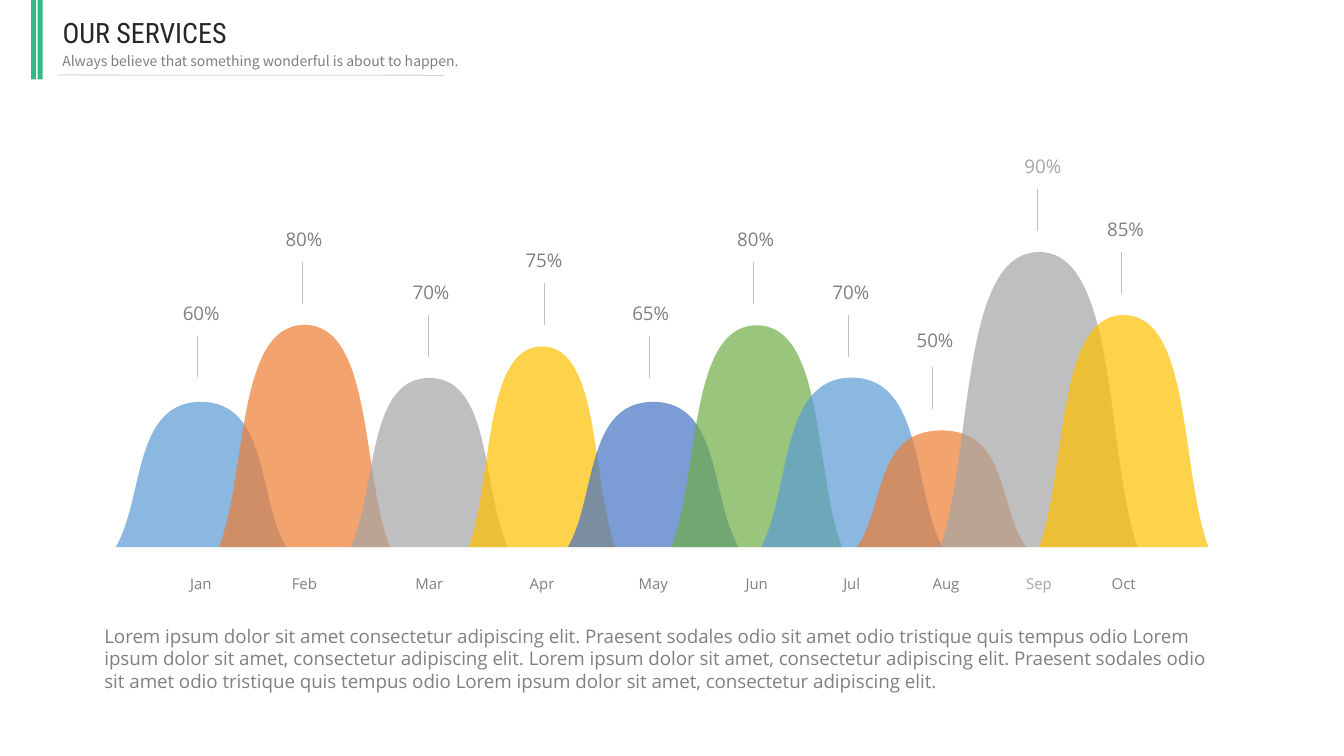
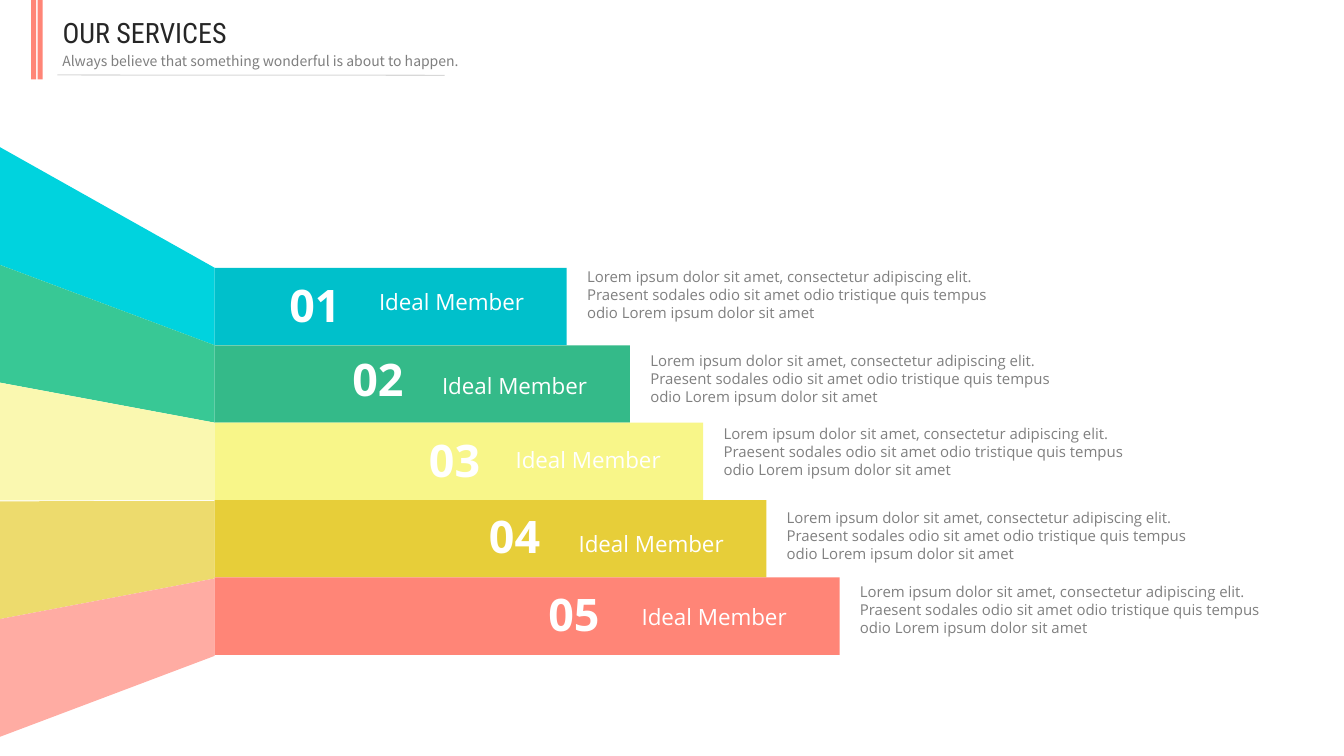
from dataclasses import dataclass

from lxml import etree
from pptx import Presentation
from pptx.dml.color import RGBColor
from pptx.enum.shapes import MSO_CONNECTOR, MSO_SHAPE
from pptx.enum.text import MSO_ANCHOR, MSO_AUTO_SIZE, PP_ALIGN
from pptx.oxml.ns import qn
from pptx.util import Emu, Pt

LEFT, CENTER = PP_ALIGN.LEFT, PP_ALIGN.CENTER
TOP = MSO_ANCHOR.TOP
FIT_SHAPE = MSO_AUTO_SIZE.SHAPE_TO_FIT_TEXT
RECTANGLE = MSO_SHAPE.RECTANGLE
STRAIGHT = MSO_CONNECTOR.STRAIGHT
TITLE_ONLY = 5

# Grid: square cells, ten to the inch
CELL = 91440
COLUMNS, ROWS = 133.33, 75

# Shared look
BODY_FONT, TITLE_FONT, TAGLINE_FONT = "Open Sans", "Roboto Condensed", "Noto Sans CJK SC"
GREEN, CORAL = "34BA89", "FF8577"
GRAY, PALE_GRAY, WHITE = "808080", "A6A6A6", "FFFFFF"
SMALL, MEDIUM = 10.67, 13.33
TITLE = "OUR SERVICES"
TAGLINE = "Always believe that something wonderful is about to happen."

# Hill chart
BASELINE = 54.28
MONTH_TOP = 56.3
LABEL_WIDTH = 10.1
LABEL_INSETS = (1.3, 0.7)
STEM_LENGTH = 4.15
HILL_OPACITY = 70
# Start, control, control, peak, control, control, end in shares of width and height
HILL_CURVE = [(0, 0), (1 / 6, 1 / 3), (0.1, 1), (0.5, 1), (0.9, 1), (5 / 6, 1 / 3), (1, 0)]
SUMMARY = (
    "Lorem ipsum dolor sit amet consectetur adipiscing elit. Praesent sodales odio sit "
    "amet odio tristique quis tempus odio Lorem ipsum dolor sit amet, consectetur "
    "adipiscing elit. Lorem ipsum dolor sit amet, consectetur adipiscing elit. Praesent "
    "sodales odio sit amet odio tristique quis tempus odio Lorem ipsum dolor sit amet, "
    "consectetur adipiscing elit."
)

# Fan of bars
BAR_LEFT, BAR_TOP, BAR_HEIGHT = 21.3, 26.57, 7.68
FAN_TOP, FAN_HEIGHT = 14.6, 11.68
SEAM, SEAM_ROW = 0.1, 3
MEMBER = "Ideal Member"
DETAIL = (
    "Lorem ipsum dolor sit amet, consectetur adipiscing elit. Praesent sodales odio sit "
    "amet odio tristique quis tempus odio Lorem ipsum dolor sit amet"
)


@dataclass
class TextStyle:
    size: float
    color: str = GRAY
    font: str = BODY_FONT
    bold: bool = False
    align: PP_ALIGN = LEFT
    insets: tuple[float, float] = (1, 0.5)


@dataclass
class Hill:
    month: str
    value: str
    color: str
    left: float
    width: float
    peak: float
    value_center: float
    stem: float
    stem_top: float
    text_color: str = GRAY
    month_shift: float = 0
    value_rise: float = 4.1


@dataclass
class Bar:
    number: str
    color: str
    fan_color: str
    width: float
    number_left: float
    number_top: float
    name_left: float
    detail_top: float


HILLS = [
    Hill("Jan", "60%", "5B9BD5", 11.48, 16.9, 39.87, 19.95, 19.6, 33.3),
    Hill("Feb", "80%", "ED7D31", 21.73, 16.95, 32.23, 30.15, 30, 26),
    Hill("Mar", "70%", "A5A5A5", 34.8, 15.6, 37.5, 42.75, 42.5, 31.23),
    Hill("Apr", "75%", "FFC000", 46.5, 14.55, 34.37, 53.95, 53.97, 28.1),
    Hill("May", "65%", "4472C4", 56.33, 16.95, 39.87, 64.55, 64.4, 33.35),
    Hill("Jun", "80%", "70AD47", 66.6, 16.95, 32.27, 74.95, 74.77, 26),
    Hill("Jul", "70%", "5B9BD5", 75.5, 18, 37.47, 84.4, 84.2, 31.23),
    Hill("Aug", "50%", "ED7D31", 85, 16.8, 42.7, 92.75, 92.5, 36.45,
         month_shift=0.45, value_rise=4.55),
    Hill("Sep", "90%", "A5A5A5", 93.3, 19.55, 25, 103.45, 102.9, 18.73, PALE_GRAY),
    Hill("Oct", "85%", "FFC000", 103.08, 16.8, 31.25, 111.65, 111.27, 25),
]

BARS = [
    Bar("01", "00C0CB", "00D3DE", 34.93, 27.1, 27.1, 35.4, 26.05),
    Bar("02", GREEN, "38C895", 41.2, 33.35, 34.4, 41.65, 34.4),
    Bar("03", "F8F689", "FAF8B0", 48.47, 40.95, 42.4, 48.95, 41.65),
    Bar("04", "E7CE39", "EDDB6D", 54.73, 46.9, 50, 55.2, 50),
    Bar("05", CORAL, "FFACA3", 62, 52.8, 57.7, 61.45, 57.3),
]


def cells(count: float) -> Emu:
    return Emu(round(count * CELL))


def rgb(color: str) -> RGBColor:
    return RGBColor.from_string(color)


def paint(shape, color: str, opacity: int = 100) -> None:
    """Give a shape a flat fill with no outline or shadow."""
    shape.shadow.inherit = False
    shape.line.fill.background()
    shape.fill.solid()
    shape.fill.fore_color.rgb = rgb(color)
    if opacity < 100:
        tint = shape.fill._xPr.find(qn("a:solidFill"))[0]
        etree.SubElement(tint, qn("a:alpha")).set("val", str(opacity * 1000))


def write(box, text: str, style: TextStyle) -> None:
    frame = box.text_frame
    frame.word_wrap = True
    frame.auto_size = FIT_SHAPE
    frame.vertical_anchor = TOP
    across, down = style.insets
    frame.margin_left = frame.margin_right = cells(across)
    frame.margin_top = frame.margin_bottom = cells(down)
    para = frame.paragraphs[0]
    para.alignment = style.align
    span = para.add_run()
    span.text = text
    span.font.name = style.font
    span.font.size = Pt(style.size)
    span.font.bold = style.bold
    span.font.color.rgb = rgb(style.color)


def add_text(page, text: str, left: float, top: float, width: float, height: float,
             style: TextStyle) -> None:
    box = page.shapes.add_textbox(cells(left), cells(top), cells(width), cells(height))
    write(box, text, style)


def add_rectangle(page, left: float, top: float, width: float, height: float,
                  color: str) -> None:
    box = page.shapes.add_shape(
        RECTANGLE, cells(left), cells(top), cells(width), cells(height))
    paint(box, color)


def add_outline(page, points: list[tuple[float, float]], color: str,
                opacity: int = 100):
    corners = [(cells(x), cells(y)) for x, y in points]
    builder = page.shapes.build_freeform(*corners[0])
    builder.add_line_segments(corners[1:], close=True)
    outline = builder.convert_to_shape()
    paint(outline, color, opacity)
    return outline


def bend(outline) -> None:
    """Turn each three straight segments of an outline into one cubic curve."""
    segments = list(outline._element.iter(qn("a:lnTo")))
    for first in range(0, len(segments), 3):
        curve = etree.Element(qn("a:cubicBezTo"))
        segments[first].addprevious(curve)
        for segment in segments[first:first + 3]:
            curve.append(segment[0])
            segment.getparent().remove(segment)


def add_line(page, start: tuple[float, float], end: tuple[float, float], color: str,
             weight: float) -> None:
    line = page.shapes.add_connector(
        STRAIGHT, *(cells(length) for length in (*start, *end)))
    line.line.color.rgb = rgb(color)
    line.line.width = Pt(weight)
    etree.SubElement(line._element.spPr, qn("a:effectLst"))


def add_page(deck):
    return deck.slides.add_slide(deck.slide_layouts[TITLE_ONLY])


def add_header(page, accent: str) -> None:
    """Draw the accent stripes, title, tagline and rule."""
    for left in (3.1, 3.73):
        add_rectangle(page, left, 0, 0.5, 7.87, accent)
    title = page.shapes.title
    title.left, title.top = cells(5.2), cells(1.05)
    title.width, title.height = cells(42.3), cells(4.4)
    write(title, TITLE, TextStyle(20, "262626", TITLE_FONT))
    add_text(page, TAGLINE, 5.2, 4.7, 42.3, 2.7, TextStyle(10, "7F7F7F", TAGLINE_FONT))
    add_line(page, (5.7, 7.44), (44.1, 7.47), "D8D8D8", 0.75)


def add_hill(page, hill: Hill) -> None:
    height = BASELINE - hill.peak
    points = [(hill.left + across * hill.width, BASELINE - up * height)
              for across, up in HILL_CURVE]
    bend(add_outline(page, points, hill.color, HILL_OPACITY))
    middle = hill.left + hill.width / 2 + hill.month_shift
    labels = [
        (hill.month, middle, MONTH_TOP, 3.1, SMALL),
        (hill.value, hill.value_center, hill.stem_top - hill.value_rise, 3.6, MEDIUM),
    ]
    for text, center, top, tall, size in labels:
        add_text(page, text, center - LABEL_WIDTH / 2, top, LABEL_WIDTH, tall,
                 TextStyle(size, hill.text_color, align=CENTER, insets=LABEL_INSETS))
    add_line(page, (hill.stem, hill.stem_top), (hill.stem, hill.stem_top + STEM_LENGTH),
             "BFBFBF", 0.5)


def add_fan_blade(page, row: int, color: str) -> None:
    shift = SEAM if row >= SEAM_ROW else 0
    outer = FAN_TOP + row * FAN_HEIGHT + shift
    inner = BAR_TOP + row * BAR_HEIGHT + shift
    add_outline(page, [(0, outer), (0, outer + FAN_HEIGHT),
                       (BAR_LEFT, inner + BAR_HEIGHT), (BAR_LEFT, inner)], color)


def add_bar(page, row: int, bar: Bar) -> None:
    right = BAR_LEFT + bar.width
    add_text(page, DETAIL, right + 1.03, bar.detail_top, 42.7, 6.4, TextStyle(SMALL))
    add_rectangle(page, BAR_LEFT, BAR_TOP + row * BAR_HEIGHT, bar.width, BAR_HEIGHT,
                  bar.color)
    add_text(page, MEMBER, bar.name_left, bar.detail_top + 2.07, 18.8, 3.7,
             TextStyle(16, WHITE, align=CENTER))
    add_text(page, bar.number, bar.number_left, bar.number_top, 8.3, 6.4,
             TextStyle(32, WHITE, bold=True, align=CENTER))


def main() -> None:
    deck = Presentation()
    deck.slide_width, deck.slide_height = cells(COLUMNS), cells(ROWS)

    # Monthly hills
    page = add_page(deck)
    add_text(page, SUMMARY, 9.37, 61.47, 113.3, 7.7, TextStyle(MEDIUM))
    for hill in HILLS:
        add_hill(page, hill)
    add_header(page, GREEN)

    # Numbered members
    page = add_page(deck)
    for row, bar in enumerate(BARS):
        add_fan_blade(page, row, bar.fan_color)
    for row, bar in enumerate(BARS):
        add_bar(page, row, bar)
    add_header(page, CORAL)

    deck.save("out.pptx")


if __name__ == "__main__":
    main()
